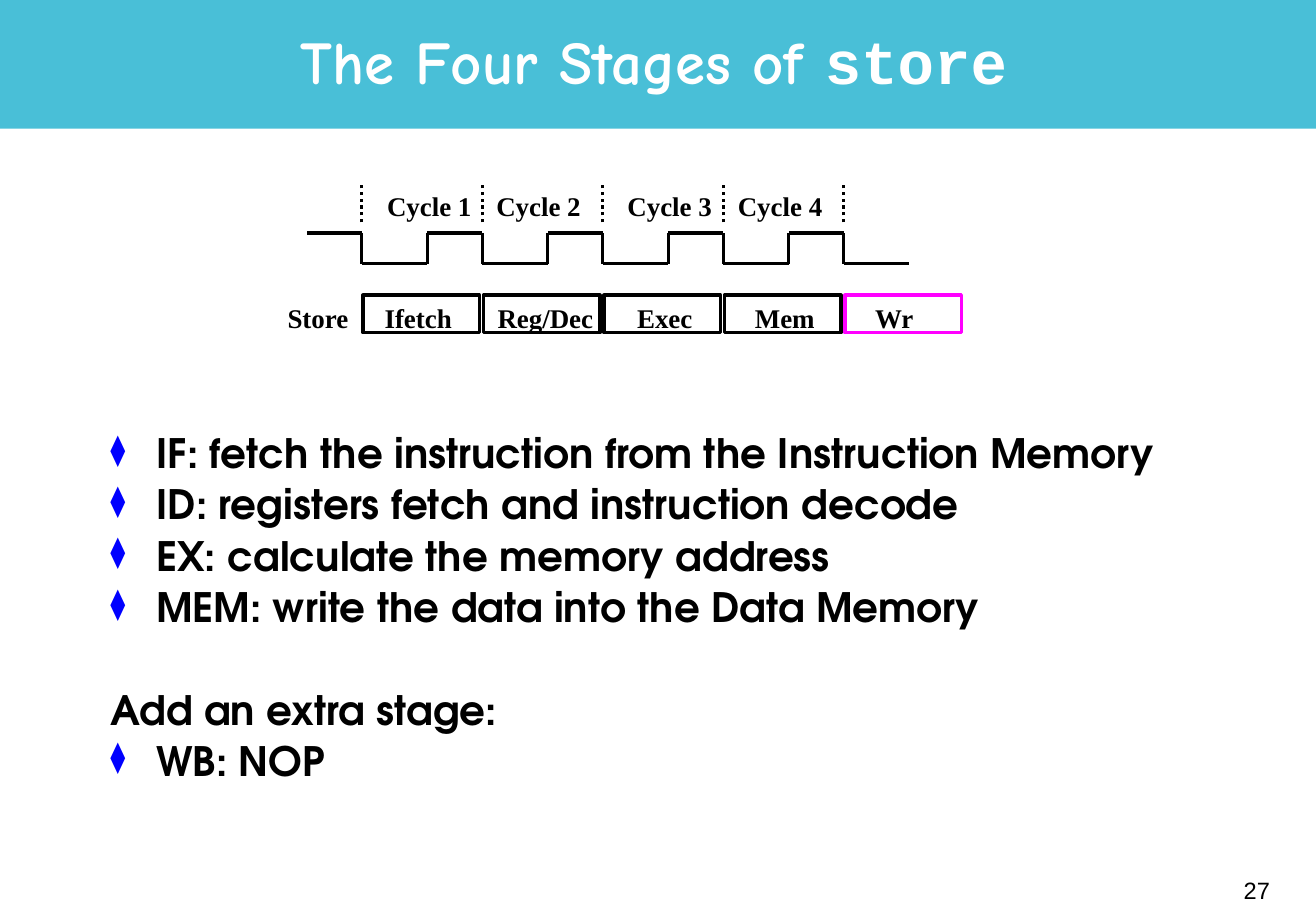
from dataclasses import dataclass

import pptx
import pptx.dml.color
import pptx.enum.dml
import pptx.enum.shapes
import pptx.enum.text
import pptx.oxml.ns
import pptx.util
from lxml import etree

Inches = pptx.util.Inches
Pt = pptx.util.Pt
ALIGN = pptx.enum.text.PP_ALIGN
ANCHOR = pptx.enum.text.MSO_ANCHOR
qn = pptx.oxml.ns.qn

WIDTH, HEIGHT = 10.84, 7.5
BLACK, WHITE, TEAL, MAGENTA, BLUE = "000000", "FFFFFF", "49BFD7", "FF00FF", "0000FF"


@dataclass
class Label:
    text: str
    left: float
    width: float


@dataclass
class Stage:
    label: Label
    color: str = BLACK


@dataclass
class Line:
    text: str
    bullet: bool = True
    before: float = 4.5


# Clock and stage geometry
CYCLES = 4
FIRST_EDGE, LAST_EDGE = 2.98, 6.95
EDGES = [FIRST_EDGE + i * (LAST_EDGE - FIRST_EDGE) / CYCLES for i in range(CYCLES + 1)]
HIGH, LOW, LOW_TIME, LEAD_IN = 1.92, 2.17, 0.54, 0.45
MARK_TOP, MARK_BOTTOM = 1.5, 1.83
CYCLE_TOP, STAGE_TOP = 1.51, 2.43

CYCLE_LABELS = [
    Label("Cycle 1", 3.09, 0.9),
    Label("Cycle 2", 3.99, 0.9),
    Label("Cycle 3", 5.07, 0.9),
    Label("Cycle 4", 5.98, 0.9),
]
STAGES = [
    Stage(Label("Ifetch", 3.07, 0.76)),
    Stage(Label("Reg/Dec", 4, 0.99)),
    Stage(Label("Exec", 5.15, 0.66)),
    Stage(Label("Mem", 6.12, 0.69)),
    Stage(Label("Wr", 7.11, 0.52), MAGENTA),
]
BODY = [
    Line("IF: fetch the instruction from the Instruction Memory", before=0),
    Line("ID: registers fetch and instruction decode"),
    Line("EX: calculate the memory address"),
    Line("MEM: write the data into the Data Memory"),
    Line("Add an extra stage:", bullet=False, before=34.9),
    Line("WB: NOP"),
]

TITLE_FONT = {"name": "Comic Neue", "size": Pt(36), "bold": True}
CODE_FONT = {**TITLE_FONT, "name": "Courier New"}
LABEL_FONT = {"name": "Times New Roman", "size": Pt(16), "bold": True}
BODY_FONT = {"name": "TeX Gyre Adventor", "size": Pt(24), "bold": True}
NUMBER_FONT = {"name": "Arial", "size": Pt(14)}


def rgb(color: str):
    return pptx.dml.color.RGBColor.from_string(color)


def set_all(obj, values: dict) -> None:
    for name, value in values.items():
        setattr(obj, name, value)


def add_run(p, text: str, font: dict, color: str = BLACK) -> None:
    r = p.add_run()
    r.text = text
    set_all(r.font, font)
    r.font.color.rgb = rgb(color)


def add_text(s, left: float, top: float, width: float, height: float, **frame):
    tf = s.shapes.add_textbox(*map(Inches, (left, top, width, height))).text_frame
    set_all(tf, {"word_wrap": True, **frame})
    return tf


def add_label(s, label: Label, top: float) -> None:
    tf = add_text(s, label.left, top, label.width, 0.37, word_wrap=False,
                  auto_size=pptx.enum.text.MSO_AUTO_SIZE.SHAPE_TO_FIT_TEXT)
    add_run(tf.paragraphs[0], label.text, LABEL_FONT)


def add_rect(s, left: float, top: float, width: float, height: float):
    sp = s.shapes.add_shape(pptx.enum.shapes.MSO_SHAPE.RECTANGLE,
                            *map(Inches, (left, top, width, height)))
    sp.shadow.inherit = False
    return sp


def add_line(s, x1: float, y1: float, x2: float, y2: float, dotted: bool = False) -> None:
    sp = s.shapes.add_connector(pptx.enum.shapes.MSO_CONNECTOR.STRAIGHT,
                                *map(Inches, (x1, y1, x2, y2)))
    sp.line.color.rgb = rgb(BLACK)
    sp.line.width = Pt(2)
    if dotted:
        sp.line.dash_style = pptx.enum.dml.MSO_LINE.ROUND_DOT
    etree.SubElement(sp.element.spPr, qn("a:effectLst"))


def add_bullet(p) -> None:
    pPr = p._p.get_or_add_pPr()
    color = etree.SubElement(pPr, qn("a:buClr"))
    etree.SubElement(color, qn("a:srgbClr"), val=BLUE)
    etree.SubElement(pPr, qn("a:buSzPct"), val="75000")
    etree.SubElement(pPr, qn("a:buChar"), char="⧫")


def draw_header(s) -> None:
    band = add_rect(s, 0, 0, WIDTH, 1.06)
    band.fill.solid()
    band.fill.fore_color.rgb = rgb(TEAL)
    band.line.fill.background()
    tf = add_text(s, 0.78, 0.05, 9.21, 0.99, vertical_anchor=ANCHOR.MIDDLE)
    p = tf.paragraphs[0]
    set_all(p, {"alignment": ALIGN.CENTER, "line_spacing": 0.85})
    add_run(p, "The Four Stages of ", TITLE_FONT, WHITE)
    add_run(p, "store", CODE_FONT, WHITE)


def draw_clock(s) -> None:
    add_line(s, FIRST_EDGE - LEAD_IN, HIGH, FIRST_EDGE, HIGH)
    for i, x in enumerate(EDGES):
        rise = x + LOW_TIME
        add_line(s, x, MARK_BOTTOM, x, MARK_TOP, dotted=True)
        add_line(s, x, HIGH, x, LOW)
        add_line(s, x, LOW, rise, LOW)
        if i < CYCLES:
            add_line(s, rise, LOW, rise, HIGH)
            add_line(s, rise, HIGH, EDGES[i + 1], HIGH)
    for label in CYCLE_LABELS:
        add_label(s, label, CYCLE_TOP)


def draw_stages(s) -> None:
    add_label(s, Label("Store", 2.27, 0.71), STAGE_TOP)
    for x, stage in zip(EDGES, STAGES):
        sp = add_rect(s, x + 0.01, STAGE_TOP, 0.96, 0.31)
        sp.fill.background()
        sp.line.color.rgb = rgb(stage.color)
        sp.line.width = Pt(2)
        add_label(s, stage.label, STAGE_TOP)


def draw_body(s) -> None:
    tf = add_text(s, 0.81, 3.52, 9.21, 3.39)
    for i, line in enumerate(BODY):
        p = tf.add_paragraph() if i else tf.paragraphs[0]
        set_all(p, {"line_spacing": 0.9, "space_before": Pt(line.before)})
        if line.bullet:
            pPr = p._p.get_or_add_pPr()
            pPr.set("marL", str(Inches(0.38)))
            pPr.set("indent", str(-Inches(0.38)))
            add_bullet(p)
        add_run(p, line.text, BODY_FONT)


def draw_number(s) -> None:
    tf = add_text(s, 8.3, 7.08, 2.26, 0.5, vertical_anchor=ANCHOR.MIDDLE)
    p = tf.paragraphs[0]
    p.alignment = ALIGN.RIGHT
    add_run(p, "27", NUMBER_FONT)


def main() -> None:
    prs = pptx.Presentation()
    set_all(prs, {"slide_width": Inches(WIDTH), "slide_height": Inches(HEIGHT)})
    s = prs.slides.add_slide(prs.slide_layouts[6])
    for draw in (draw_header, draw_clock, draw_stages, draw_body, draw_number):
        draw(s)
    prs.save("out.pptx")


if __name__ == "__main__":
    main()
